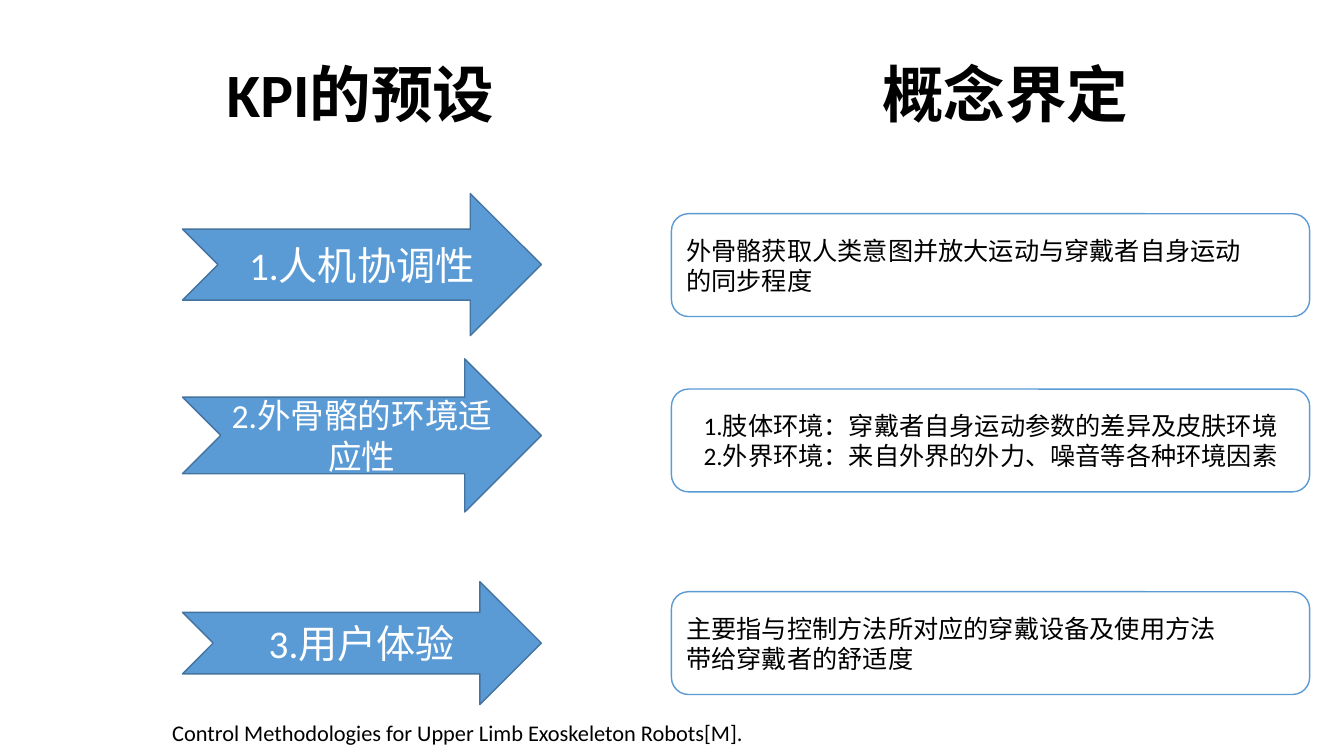
from pptx import Presentation
from pptx.dml.color import RGBColor
from pptx.enum.shapes import MSO_SHAPE
from pptx.enum.text import MSO_ANCHOR, PP_ALIGN
from pptx.util import Inches, Pt

ARROW = MSO_SHAPE.NOTCHED_RIGHT_ARROW
BOX = MSO_SHAPE.FLOWCHART_ALTERNATE_PROCESS
MIDDLE = MSO_ANCHOR.MIDDLE
LEFT, CENTER = PP_ALIGN.LEFT, PP_ALIGN.CENTER
BLUE, DARK_BLUE, WHITE, BLACK = "5B9BD5", "43739E", "FFFFFF", "000000"


def rgb(value):
    return RGBColor.from_string(value)


def write(sp, lines, size, color=BLACK, align=LEFT, bold=False):
    """Fill a shape or text box with one paragraph per line."""
    tf = sp.text_frame
    tf.word_wrap = True
    tf.text = "\n".join(lines)
    for p in tf.paragraphs:
        p.alignment = align
        p.font.name = "Calibri"
        p.font.size = Pt(size)
        p.font.bold = bold
        p.font.color.rgb = rgb(color)


prs = Presentation()
prs.slide_width, prs.slide_height = Inches(13.33), Inches(7.5)
s = prs.slides.add_slide(prs.slide_layouts[6])

# Column headings and source line
for text, left, top, width, height, size, bold in (
    ("KPI的预设", 2.15, 0.51, 2.86, 0.84, 44, True),
    ("概念界定", 8.65, 0.51, 2.66, 0.84, 44, True),
    ("Control Methodologies for Upper Limb Exoskeleton Robots[M].",
     1.61, 7.09, 5.98, 0.4, 16, False),
):
    sp = s.shapes.add_textbox(Inches(left), Inches(top), Inches(width), Inches(height))
    write(sp, [text], size, bold=bold)

# Each row: indicator arrow and its definition, centred on the same columns
rows = (
    ("1.人机协调性", 28, 1.92, 1.41, 2.12, LEFT,
     ["外骨骼获取人类意图并放大运动与穿戴者自身运动", "的同步程度"]),
    ("2.外骨骼的环境适应性", 24, 3.56, 1.52, 3.86, CENTER,
     ["1.肢体环境：穿戴者自身运动参数的差异及皮肤环境",
      "2.外界环境：来自外界的外力、噪音等各种环境因素"]),
    ("3.用户体验", 28, 5.77, 1.22, 5.87, LEFT,
     ["主要指与控制方法所对应的穿戴设备及使用方法", "带给穿戴者的舒适度"]),
)
for name, size, arrow_top, arrow_height, box_top, align, definition in rows:
    arrow = s.shapes.add_shape(ARROW, Inches(1.81), Inches(arrow_top),
                               Inches(3.56), Inches(arrow_height))
    box = s.shapes.add_shape(BOX, Inches(6.66), Inches(box_top),
                             Inches(6.33), Inches(1.02))
    for sp, fill, line in ((arrow, BLUE, DARK_BLUE), (box, WHITE, BLUE)):
        sp.shadow.inherit = False
        sp.fill.solid()
        sp.fill.fore_color.rgb = rgb(fill)
        sp.line.color.rgb = rgb(line)
        sp.line.width = Pt(1)
        sp.text_frame.vertical_anchor = MIDDLE
    write(arrow, [name], size, WHITE, CENTER)
    write(box, definition, 18, align=align)

prs.save("out.pptx")
